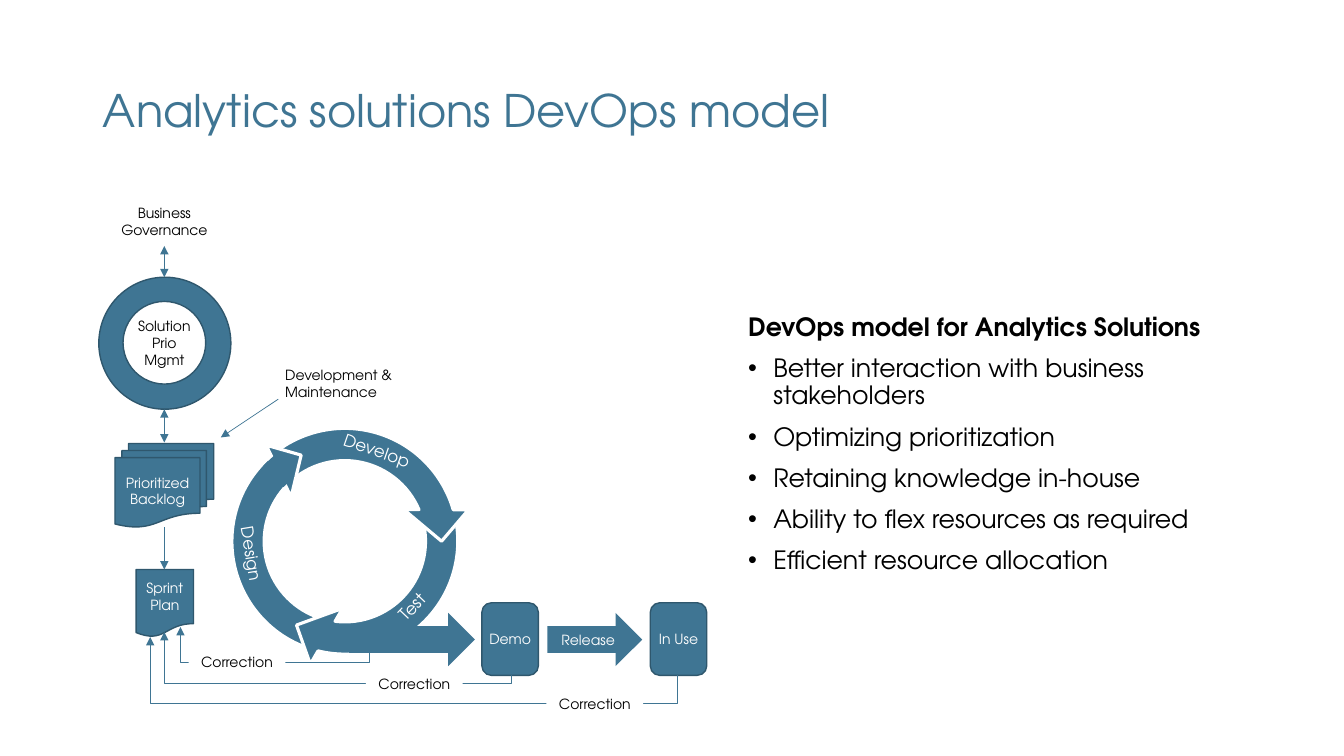
import pptx
import pptx.dml.color
import pptx.enum.shapes
import pptx.enum.text
import pptx.oxml
import pptx.oxml.ns
import pptx.util

Inches = pptx.util.Inches
Pt = pptx.util.Pt
RGBColor = pptx.dml.color.RGBColor
SHAPE = pptx.enum.shapes.MSO_SHAPE
ALIGN = pptx.enum.text.PP_ALIGN
ANCHOR = pptx.enum.text.MSO_ANCHOR
AUTO_SIZE = pptx.enum.text.MSO_AUTO_SIZE

BLUE = RGBColor(0x3F, 0x75, 0x93)
DARK_BLUE = RGBColor(0x2F, 0x57, 0x6D)
WHITE = RGBColor(0xFF, 0xFF, 0xFF)
BLACK = RGBColor(0, 0, 0)
FONT = "TeX Gyre Adventor"

AXIS = 1.63  # centre of the planning column
CYCLE_BOX = (2.14, 4.09, 2.56, 2.56)
CYCLE_ADJUSTMENTS = (0.125, 11.423, 204.577, 136.459, 0.125)
BULLETS = (
    "Better interaction with business stakeholders",
    "Optimizing prioritization",
    "Retaining knowledge in-house",
    "Ability to flex resources as required",
    "Efficient resource allocation",
)


def write_text(shape, text, size=10, color=BLACK, align=ALIGN.CENTER,
               anchor=ANCHOR.MIDDLE, inset=None, fit=False):
    """Fill a shape with text; \\n starts a paragraph and \\v breaks a line."""
    frame = shape.text_frame
    frame.text = text
    frame.vertical_anchor = anchor
    frame.word_wrap = not fit
    frame.auto_size = AUTO_SIZE.SHAPE_TO_FIT_TEXT if fit else AUTO_SIZE.NONE
    if inset is not None:
        frame.margin_left = frame.margin_right = Inches(inset)
        frame.margin_top = frame.margin_bottom = Inches(inset)
    for paragraph in frame.paragraphs:
        paragraph.alignment = align
        for run in paragraph.runs:
            run.font.name = FONT
            run.font.size = Pt(size)
            run.font.color.rgb = color


def add_element(parent, tag, **attributes):
    element = pptx.oxml.parse_xml(f"<{tag} {pptx.oxml.ns.nsdecls('a')}/>")
    for name, value in attributes.items():
        element.set(name, value)
    parent.append(element)


def add_block(slide, kind, box, fill=BLUE, line=None, line_width=1,
              rotation=0, adjustments=()):
    shape = slide.shapes.add_shape(kind, *map(Inches, box))
    shape.shadow.inherit = False
    shape.rotation = rotation
    shape.fill.solid()
    shape.fill.fore_color.rgb = fill
    if line is None:
        shape.line.fill.background()
    else:
        shape.line.color.rgb = line
        shape.line.width = Pt(line_width)
    for index, value in enumerate(adjustments):
        shape.adjustments[index] = value
    return shape


def add_label(slide, text, box, rotation=0, **text_format):
    label = slide.shapes.add_textbox(*map(Inches, box))
    label.rotation = rotation
    write_text(label, text, anchor=ANCHOR.TOP, fit=True, **text_format)


def style_arrow(shape, both_ends=False):
    shape.line.color.rgb = BLUE
    shape.line.width = Pt(0.5)
    line = shape.line._get_or_add_ln()
    if both_ends:
        add_element(line, "a:headEnd", type="triangle")
    add_element(line, "a:tailEnd", type="triangle")


def add_arrow(slide, start, end, both_ends=False):
    connector = slide.shapes.add_connector(
        pptx.enum.shapes.MSO_CONNECTOR.STRAIGHT, *map(Inches, start + end))
    style_arrow(connector, both_ends)
    add_element(connector._element.spPr, "a:effectLst")


def add_correction(slide, start, end, bottom, label_left):
    """Route an arrow down, left and up, with its label over the low stretch."""
    corners = (start, (start[0], bottom), (end[0], bottom), end)
    points = [(Inches(x), Inches(y)) for x, y in corners]
    builder = slide.shapes.build_freeform(*points[0])
    builder.add_line_segments(points[1:], close=False)
    route = builder.convert_to_shape()
    route.shadow.inherit = False
    route.fill.background()
    style_arrow(route)
    label = add_block(slide, SHAPE.RECTANGLE,
                      (label_left, bottom - 0.14, 0.96, 0.28), fill=WHITE)
    write_text(label, "Correction", fit=True)


def place(placeholder, box):
    placeholder.left, placeholder.top, placeholder.width, placeholder.height = map(Inches, box)


def add_title_and_list(slide):
    title = slide.shapes.title
    place(title, (0.92, 0.4, 11.5, 1.45))
    write_text(title, "Analytics solutions DevOps model", size=32, color=BLUE,
               align=ALIGN.LEFT)
    title.text_frame.paragraphs[0].line_spacing = 0.9

    body = slide.placeholders[1]
    place(body, (7.32, 2.06, 5.1, 4.71))
    write_text(body, "\n".join(("DevOps model for Analytics Solutions",) + BULLETS),
               size=18, align=ALIGN.LEFT)
    for index, paragraph in enumerate(body.text_frame.paragraphs):
        paragraph.line_spacing = 0.9
        paragraph.space_before = Pt(10)
        paragraph.runs[0].font.bold = index == 0
        indent = Inches(0.25) if index else 0
        properties = paragraph._p.get_or_add_pPr()
        properties.set("marL", str(indent))
        properties.set("indent", str(-indent))
        if index:
            add_element(properties, "a:buFont", typeface="Arial")
            add_element(properties, "a:buChar", char="•")
        else:
            add_element(properties, "a:buNone")


def add_cycle(slide):
    for rotation in (244.3, 120, 0):
        add_block(slide, SHAPE.CIRCULAR_ARROW, CYCLE_BOX, line=WHITE, line_width=2.25,
                  rotation=rotation, adjustments=CYCLE_ADJUSTMENTS)
    add_block(slide, SHAPE.ISOSCELES_TRIANGLE, (2.6, 4.48, 0.57, 0.27), line=WHITE,
              line_width=2.25, rotation=64.3, adjustments=(0.42,))
    add_block(slide, SHAPE.RECTANGLE, (2.69, 4.53, 0.15, 0.29), rotation=316.2)
    for text, box, rotation in (
            ("Develop", (3.3, 4.32, 0.89, 0.3), 19),
            ("Test", (3.84, 5.86, 0.51, 0.3), 313.6),
            ("Design", (2.12, 5.35, 0.75, 0.3), 80.6)):
        add_label(slide, text, box, rotation, size=12, color=WHITE, align=ALIGN.LEFT)


def add_release_flow(slide):
    add_block(slide, SHAPE.RIGHT_ARROW, (3.46, 6.08, 1.25, 0.53))
    release = add_block(slide, SHAPE.RIGHT_ARROW, (5.43, 6.08, 0.94, 0.53))
    write_text(release, "Release", color=WHITE)
    for text, left in (("Demo", 4.78), ("In Use", 6.45)):
        stage = add_block(slide, SHAPE.ROUNDED_RECTANGLE, (left, 5.98, 0.56, 0.72),
                          line=DARK_BLUE)
        write_text(stage, text, color=WHITE, inset=0)


def add_planning_column(slide):
    add_block(slide, SHAPE.OVAL, (0.98, 2.75, 1.31, 1.31), line=DARK_BLUE)
    core = add_block(slide, SHAPE.OVAL, (1.22, 2.99, 0.82, 0.82), fill=WHITE,
                     line=DARK_BLUE)
    write_text(core, "Solution\vPrio\nMgmt", inset=0)
    sprint = add_block(slide, SHAPE.FLOWCHART_DOCUMENT, (1.35, 5.65, 0.57, 0.67),
                       line=DARK_BLUE)
    write_text(sprint, "Sprint\nPlan", color=WHITE)
    backlog = add_block(slide, SHAPE.FLOWCHART_MULTIDOCUMENT, (1.14, 4.4, 0.98, 0.83),
                        line=DARK_BLUE)
    write_text(backlog, "Prioritized Backlog", color=WHITE)
    add_label(slide, "Business\vGovernance", (1.07, 1.98, 1.12, 0.45))
    for top, bottom, both_ends in (
            (2.44, 2.75, True), (4.06, 4.39, True), (5.23, 5.65, False)):
        add_arrow(slide, (AXIS, top), (AXIS, bottom), both_ends)
    add_arrow(slide, (2.76, 3.96), (2.19, 4.34))
    add_label(slide, "Development &\vMaintenance", (2.73, 3.59, 1.28, 0.44),
              align=ALIGN.LEFT)


def main():
    presentation = pptx.Presentation()
    presentation.slide_width = Inches(13.33)
    presentation.slide_height = Inches(7.5)
    slide = presentation.slides.add_slide(presentation.slide_layouts[1])
    add_title_and_list(slide)
    add_cycle(slide)
    add_release_flow(slide)
    add_planning_column(slide)
    add_correction(slide, (6.72, 6.7), (1.49, 6.32), 6.98, 5.42)
    add_correction(slide, (5.07, 6.7), (AXIS, 6.27), 6.78, 3.63)
    add_correction(slide, (3.66, 6.46), (1.79, 6.22), 6.57, 1.87)
    presentation.save("out.pptx")


if __name__ == "__main__":
    main()
